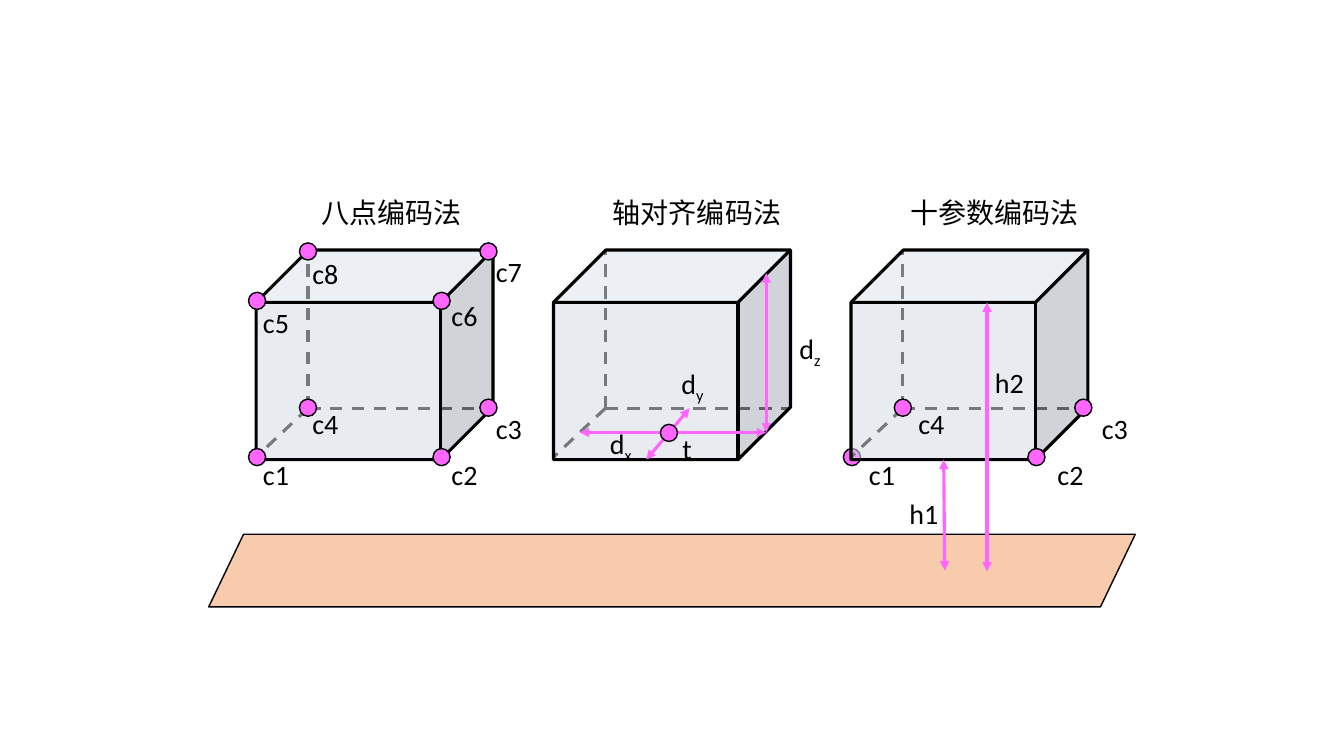
"""Draw three ways to encode a 3D box above a ground plane."""
from pptx import Presentation
from pptx import util as u
from pptx.dml import color
from pptx.enum import dml, shapes, text
from pptx.oxml import ns, xmlchemy

HUES = {"ink": "000000", "pink": "FF66FF", "face": "D6DCE5", "ground": "F8CBAD"}
CELL = u.Inches(0.1)
TOP = 24.8
LEFTS = [25.4 + 29.5 * step for step in range(3)]
TITLES = [("八点编码法", 5.5, 16), ("轴对齐编码法", 4.9, 18.8), ("十参数编码法", 4.9, 18.8)]
DOTS = {
    "c1": (0.1, 20.55), "c2": (18.4, 20.55), "c3": (23.05, 15.65), "c4": (5.15, 15.65),
    "c5": (0.1, 5.05), "c6": (18.4, 5.05), "c7": (23.05, 0.15), "c8": (5.15, 0.15),
}
LABELS = {
    "c1": (-0.3, 20.1), "c2": (18.4, 20.1), "c3": (22.8, 15.5), "c4": (4.6, 15),
    "c5": (-0.3, 5), "c6": (18.4, 4.3), "c7": (22.8, 0), "c8": (4.6, 0.2),
}


def grid(*cells):
    """Turn grid cells into lengths."""
    return [round(cell * CELL) for cell in cells]


def hue(name):
    """Look up a colour."""
    return color.RGBColor.from_string(HUES[name])


def node(parent, tag, **attrs):
    """Add an XML child and return it."""
    child = xmlchemy.OxmlElement(tag)
    for key, value in attrs.items():
        child.set(key, value)
    parent.append(child)
    return child


def shape(slide, kind, box, fill, width=1, alpha=None):
    """Add a filled and outlined shape."""
    item = slide.shapes.add_shape(kind, *grid(*box))
    item.shadow.inherit = False
    item.fill.solid()
    item.fill.fore_color.rgb = hue(fill)
    item.line.color.rgb = hue("ink")
    item.line.width = u.Pt(width)
    if alpha:
        tint = item._element.spPr.find(ns.qn("a:solidFill"))[0]
        node(tint, "a:alpha", val=str(alpha * 1000))
    return item


def line(slide, start, end, tint="ink", dash=False, heads=False):
    """Add a straight line, dashed or with two arrowheads."""
    item = slide.shapes.add_connector(shapes.MSO_CONNECTOR.STRAIGHT, *grid(*start, *end))
    item.line.color.rgb = hue(tint)
    item.line.width = u.Pt(2.25)
    if dash:
        item.line.dash_style = dml.MSO_LINE.DASH
    if heads:
        for tag in ("a:headEnd", "a:tailEnd"):
            node(item.line._get_or_add_ln(), tag, type="triangle")
    node(item._element.spPr, "a:effectLst")


def write(slide, words, left, top, width=4.6, sub="", size=20, font="Calibri", tint="ink"):
    """Add a label with an optional subscript."""
    frame = slide.shapes.add_textbox(*grid(left, top, width, 4.4)).text_frame
    frame.word_wrap = False
    frame.auto_size = text.MSO_AUTO_SIZE.SHAPE_TO_FIT_TEXT
    for part, base in ((words, None), (sub, "-25000")):
        if part:
            run = frame.paragraphs[0].add_run()
            run.text = part
            run.font.size = u.Pt(size)
            run.font.name = font
            run.font.color.rgb = hue(tint)
            if base:
                run.font._element.set("baseline", base)


def dot(slide, x, y):
    """Add a round marker centred on a point."""
    shape(slide, shapes.MSO_SHAPE.OVAL, (x - 0.85, y - 0.85, 1.7, 1.7), "pink")


def arrow(slide, start, end):
    """Add a pink arrow with two heads."""
    line(slide, start, end, tint="pink", heads=True)


def cube(slide, left):
    """Add a clear cube with its hidden edges."""
    back = (left + 5.15, TOP + 15.7)
    for end in ((left + 5.15, TOP), (left + 0.05, TOP + 20.5), (left + 23.4, TOP + 15.7)):
        line(slide, back, end, dash=True)
    shape(slide, shapes.MSO_SHAPE.CUBE, (left, TOP, 23.5, 20.8), "face", 2.25, alpha=55)


def mark(slide, left, names):
    """Add corner dots."""
    for name in names:
        x, y = DOTS[name]
        dot(slide, left + x, TOP + y)


def tag(slide, left, names):
    """Add corner names."""
    for name in names:
        x, y = LABELS[name]
        write(slide, name, left + x, TOP + y)


def eight(slide, left):
    """Draw the box given by eight corners."""
    cube(slide, left)
    mark(slide, left, DOTS)
    tag(slide, left, LABELS)


def axis(slide, left):
    """Draw the box given by centre and sizes."""
    cube(slide, left)
    arrow(slide, (68.4, 40.5), (64.1, 45.6))
    arrow(slide, (76, 42.9), (57.5, 42.9))
    dot(slide, 66.35, 42.95)
    arrow(slide, (76, 42.9), (76, 27.1))
    write(slide, "t", 66.7, 42.3, 3)
    for sub, x, y in (("x", 59.5, 41.8), ("y", 66.6, 35.9), ("z", 78.3, 32.4)):
        write(slide, "d", x, y, 4.3, sub)


def ten(slide, left):
    """Draw the box given by four corners and two heights."""
    mark(slide, left, ["c1"])
    cube(slide, left)
    mark(slide, left, ["c2", "c3", "c4"])
    tag(slide, left + 1.1, ["c1", "c2", "c3", "c4"])
    arrow(slide, (93.6, 45.6), (93.7, 56.6))
    arrow(slide, (97.9, 30), (97.9, 56.7))
    write(slide, "h1", 89.2, 48.8, 4.9)
    write(slide, "h2", 97.7, 35.8, 4.9)


def main():
    """Build and save the slide."""
    deck = Presentation()
    deck.slide_width, deck.slide_height = u.Inches(13.33), u.Inches(7.5)
    slide = deck.slides.add_slide(deck.slide_layouts[6])
    plane = shape(slide, shapes.MSO_SHAPE.PARALLELOGRAM, (20.7, 53, 91.9, 7.2), "ground")
    plane.adjustments[0] = 0.48
    for draw, left, (title, shift, width) in zip((eight, axis, ten), LEFTS, TITLES):
        draw(slide, left)
        write(slide, title, left + shift, 18.9, width)
    deck.save("out.pptx")


if __name__ == "__main__":
    main()
